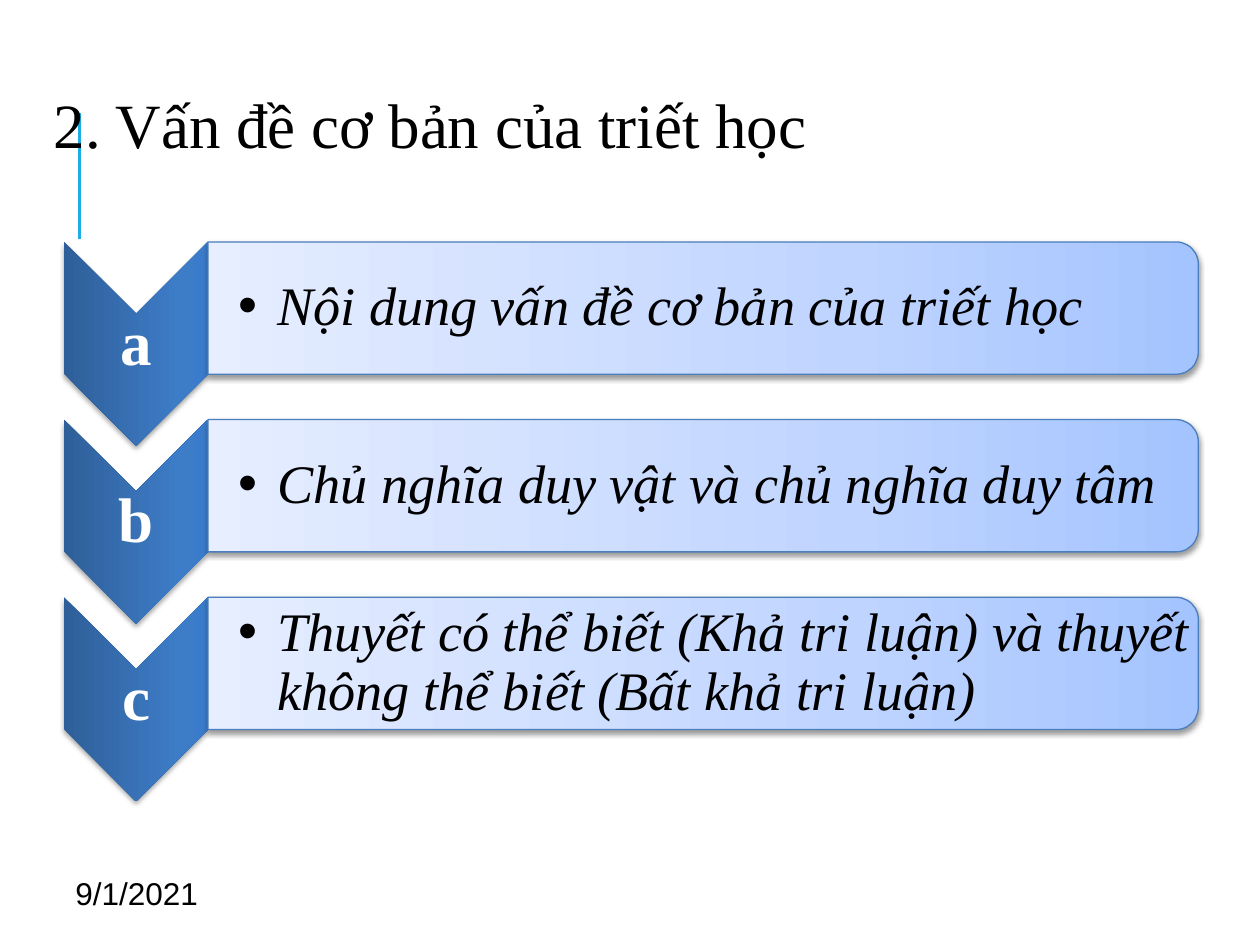
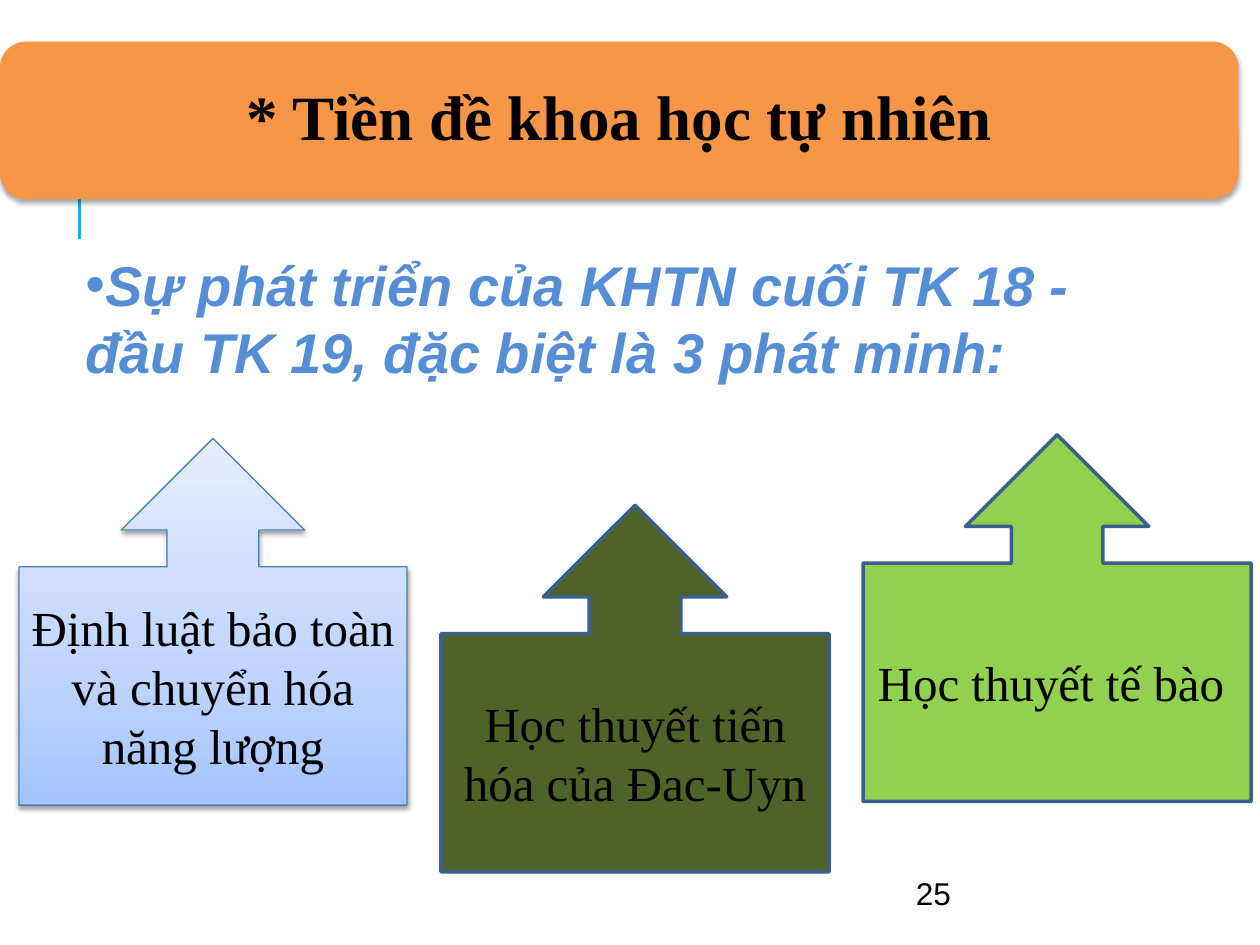
import pptx
import pptx.util
import pptx.dml.color
import pptx.enum.shapes
import pptx.enum.text
import pptx.oxml.ns
import lxml.etree

Inches = pptx.util.Inches
Pt = pptx.util.Pt
SHAPE = pptx.enum.shapes.MSO_SHAPE
ALIGN = pptx.enum.text.PP_ALIGN
ANCHOR = pptx.enum.text.MSO_ANCHOR

SERIF, SANS = "Times New Roman", "Arial"
BLACK, WHITE = "000000", "FFFFFF"
ACCENT, ORANGE, SKY = "1CADE4", "F79646", "558ED5"
OLIVE, GREEN = "4F6228", "92D050"
CALLOUT_EDGE, PALE_EDGE = ("3A5F8C", 2), ("4B7EBC", 0.75)
PALE_BLUE = [(0, "A4C4FF"), (35, "BFD4FF"), (100, "E6EEFF")]
DEEP_BLUE = [(0, "2F5F99"), (80, "3D7CC7"), (100, "3A7CCB")]
# Shadows: opacity in percent, blur and distance in points
STRONG_SHADOW, SOFT_SHADOW = (35, 3.1, 1.8), (38, 3.1, 1.6)


def rgb(hex_code):
    return pptx.dml.color.RGBColor.from_string(hex_code)


def add_xml(parent, tag, **attributes):
    child = lxml.etree.SubElement(parent, pptx.oxml.ns.qn(tag))
    for key, value in attributes.items():
        child.set(key, str(value))
    return child


class Deck:
    def __init__(self):
        self.presentation = pptx.Presentation()
        self.presentation.slide_width = Inches(10)
        self.presentation.slide_height = Inches(7.5)
        self.slide = None

    def new_slide(self):
        layout = self.presentation.slide_layouts[6]
        self.slide = self.presentation.slides.add_slide(layout)
        # Accent rule shared by all slides
        rule = self.slide.shapes.add_connector(
            pptx.enum.shapes.MSO_CONNECTOR.STRAIGHT,
            Inches(0.63), Inches(1.9), Inches(0.63), Inches(0.9))
        rule.line.color.rgb = rgb(ACCENT)
        rule.line.width = Pt(1.5)
        add_xml(rule._element.spPr, "a:effectLst")

    def fill_text(self, frame, words, size, font=SERIF, color=BLACK,
                  bold=False, italic=False, align=None, spacing=None,
                  bullet=None):
        """bullet is the hanging indent in inches, or None for no bullet."""
        frame.word_wrap = True
        paragraph = frame.paragraphs[0]
        if bullet is not None:
            properties = paragraph._p.get_or_add_pPr()
            properties.set("marL", str(Inches(bullet)))
            properties.set("indent", str(-Inches(bullet)))
            add_xml(properties, "a:buFont", typeface=SANS)
            add_xml(properties, "a:buChar", char="•")
        if align is not None:
            paragraph.alignment = align
        if spacing:
            paragraph.line_spacing = spacing
        run = paragraph.add_run()
        run.text = words
        run.font.name, run.font.size = font, Pt(size)
        run.font.bold, run.font.italic = bold, italic
        run.font.color.rgb = rgb(color)

    def text(self, box, words, size, insets=(0.1, 0.05, 0.1, 0.05),
             anchor=ANCHOR.MIDDLE, **style):
        frame = self.slide.shapes.add_textbox(*map(Inches, box)).text_frame
        (frame.margin_left, frame.margin_top,
         frame.margin_right, frame.margin_bottom) = map(Inches, insets)
        frame.vertical_anchor = anchor
        self.fill_text(frame, words, size, **style)

    def gradient(self, shape, stops, angle, turns):
        shape.fill.gradient()
        shape.fill.gradient_angle = 360 - angle
        gradient = shape._element.spPr.find(pptx.oxml.ns.qn("a:gradFill"))
        gradient.set("rotWithShape", str(int(turns)))
        stop_list = gradient.find(pptx.oxml.ns.qn("a:gsLst"))
        for old_stop in list(stop_list):
            stop_list.remove(old_stop)
        for position, color in stops:
            stop = add_xml(stop_list, "a:gs", pos=position * 1000)
            add_xml(stop, "a:srgbClr", val=color)

    def shape(self, preset, box, fill, edge=None, shadow=None,
              quarter_turn=False, angle=270, turns=True):
        """box is the area covered on the slide, after any quarter turn."""
        left, top, width, height = box
        if quarter_turn:
            left, top = left + (width - height) / 2, top + (height - width) / 2
            width, height = height, width
        shape = self.slide.shapes.add_shape(
            preset, *map(Inches, (left, top, width, height)))
        shape.rotation = 90 if quarter_turn else 0
        if isinstance(fill, str):
            shape.fill.solid()
            shape.fill.fore_color.rgb = rgb(fill)
        else:
            self.gradient(shape, fill, angle, turns)
        if edge:
            shape.line.color.rgb, shape.line.width = rgb(edge[0]), Pt(edge[1])
        else:
            shape.line.fill.background()
        shape.shadow.inherit = False
        if shadow:
            opacity, blur, distance = shadow
            effects = shape._element.spPr.find(pptx.oxml.ns.qn("a:effectLst"))
            outer = add_xml(effects, "a:outerShdw", blurRad=Pt(blur),
                            dist=Pt(distance), dir=90 * 60000, rotWithShape=0)
            color = add_xml(outer, "a:srgbClr", val=BLACK)
            add_xml(color, "a:alpha", val=opacity * 1000)
        return shape

    def footer(self, left, words):
        self.text((left, 6.83, 2.33, 0.52), words, 18, font=SANS)

    def topic(self, top, letter, words):
        # Chevron with its letter
        self.shape(SHAPE.CHEVRON, (0.51, top, 1.14, 1.62), DEEP_BLUE,
                   shadow=STRONG_SHADOW, quarter_turn=True)
        self.text((0.51, top + 0.57, 1.14, 0.49), letter, 36, (0.03,) * 4,
                  color=WHITE, bold=True, align=ALIGN.CENTER, spacing=0.9)
        # Bar with its topic
        self.shape(SHAPE.ROUND_2_SAME_RECTANGLE, (1.65, top, 7.86, 1.05),
                   PALE_BLUE, PALE_EDGE, SOFT_SHADOW, quarter_turn=True,
                   angle=180, turns=False)
        self.text((1.65, top + 0.05, 7.81, 0.95), words, 31,
                  (0.24, 0.02, 0.02, 0.02), italic=True, spacing=0.9,
                  bullet=0.31)

    def discovery(self, left, top, words, fill, edge, shadow=None):
        callout = self.shape(SHAPE.UP_ARROW_CALLOUT, (left, top, 3.08, 2.91),
                             fill, edge, shadow)
        callout.text_frame.vertical_anchor = ANCHOR.MIDDLE
        self.fill_text(callout.text_frame, words, 28, align=ALIGN.CENTER)


def main():
    deck = Deck()

    # Slide 1: the basic problem of philosophy
    deck.new_slide()
    deck.text((0.33, 0.33, 9.83, 1.37), "2. Vấn đề cơ bản của triết học", 36,
              spacing=0.9)
    deck.footer(0.5, "9/1/2021")
    topics = [
        ("a", "Nội dung vấn đề cơ bản của triết học"),
        ("b", "Chủ nghĩa duy vật và chủ nghĩa duy tâm"),
        ("c", "Thuyết có thể biết (Khả tri luận) và thuyết không thể biết "
              "(Bất khả tri luận)"),
    ]
    for row, (letter, words) in enumerate(topics):
        deck.topic(1.92 + 1.41 * row, letter, words)

    # Slide 2: premises from natural science
    deck.new_slide()
    deck.shape(SHAPE.ROUNDED_RECTANGLE, (0, 0.33, 9.83, 1.25), ORANGE,
               shadow=STRONG_SHADOW)
    deck.text((0.06, 0.39, 9.71, 1.13), "* Tiền đề khoa học tự nhiên", 36,
              (0.15,) * 4, bold=True, align=ALIGN.CENTER, spacing=0.9)
    deck.footer(7.17, "25")
    deck.text((0.58, 1.94, 8.92, 1.18),
              "Sự phát triển của KHTN cuối TK 18 - đầu TK 19, "
              "đặc biệt là 3 phát minh:", 32, anchor=ANCHOR.TOP, font=SANS,
              color=SKY, bold=True, italic=True, bullet=0)
    discoveries = [
        (3.48, "Định luật bảo toàn và chuyển hóa năng lượng",
         PALE_BLUE, PALE_EDGE, SOFT_SHADOW),
        (4.01, "Học thuyết tiến hóa của Đac-Uyn", OLIVE, CALLOUT_EDGE),
        (3.45, "Học thuyết tế bào ", GREEN, CALLOUT_EDGE),
    ]
    for column, (top, *details) in enumerate(discoveries):
        deck.discovery(0.15 + 3.35 * column, top, *details)

    deck.presentation.save("out.pptx")


if __name__ == "__main__":
    main()
